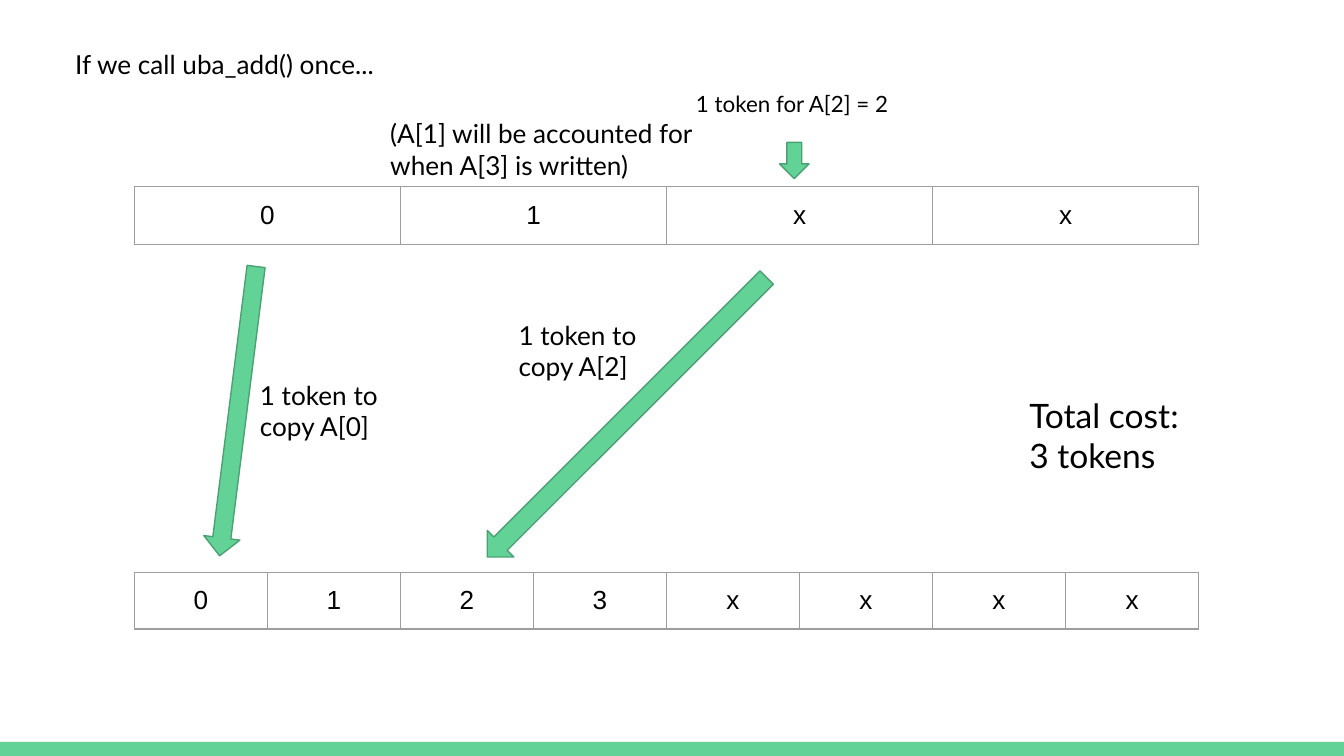
from dataclasses import dataclass

from lxml.etree import SubElement
from pptx import Presentation
from pptx.dml.color import RGBColor
from pptx.enum.shapes import MSO_SHAPE as Preset
from pptx.enum.text import MSO_ANCHOR as Anchor, MSO_AUTO_SIZE as AutoSize, PP_ALIGN as Align
from pptx.oxml.ns import qn
from pptx.util import Emu, Inches, Pt

SLIDE_WIDTH = Inches(10)
SLIDE_HEIGHT = Emu(SLIDE_WIDTH * 9 // 16)
GRID_COLUMNS = 100  # square grid: rows are as tall as columns are wide
TITLE_ONLY_LAYOUT = 5


@dataclass(frozen=True)
class Theme:
    accent: str = "63D297"
    accent_outline: str = "4BA173"
    cell_border: str = "9E9E9E"
    text: str = "000000"
    text_font: str = "Lato"
    cell_font: str = "Arial"
    small: int = 12
    regular: int = 14
    large: int = 18
    line_width: float = 0.75
    inset: float = 0.1


@dataclass(frozen=True)
class Box:
    left: float
    top: float
    width: float
    height: float

    def lengths(self) -> tuple[Emu, ...]:
        return tuple(units(n) for n in (self.left, self.top, self.width, self.height))


@dataclass(frozen=True)
class Label:
    text: str
    box: Box
    size: int


@dataclass(frozen=True)
class BlockArrow:
    box: Box
    rotation: float = 0


@dataclass(frozen=True)
class ArrayRow:
    values: str
    top: float
    height: float


THEME = Theme()
ARRAY_LEFT, ARRAY_WIDTH = 10, 79.2

TITLE = Label("If we call uba_add() once...", Box(4.6, 2.6, 33, 5), THEME.regular)
FOOTER_BAR = Box(0, 55.2, GRID_COLUMNS, 1.05)
ARRAYS = (
    ArrayRow("01xx", 13.9, 4.3),
    ArrayRow("0123xxxx", 42.6, 4.2),
)
ARROWS = (
    BlockArrow(Box(58, 10.6, 2.2, 2.7)),
    BlockArrow(Box(16.35, 19.75, 2.7, 21.7), 7.2),
    BlockArrow(Box(45.25, 16.35, 2.8, 29.4), 45),
)
LABELS = (
    Label("1 token for A[2] = 2", Box(50.8, 5.7, 16.6, 4.3), THEME.small),
    Label("1 token to copy A[0]", Box(18.35, 27.2, 13.2, 6.5), THEME.regular),
    Label("1 token to copy A[2]", Box(37.6, 22.75, 13.2, 6.5), THEME.regular),
    Label("(A[1] will be accounted for when A[3] is written)",
          Box(28.05, 7.75, 25, 6), THEME.regular),
    Label("Total cost: 3 tokens", Box(75.6, 28.35, 14.2, 7.6), THEME.large),
)


def units(count: float) -> Emu:
    """Convert grid units to a slide length."""
    return Emu(round(SLIDE_WIDTH * count / GRID_COLUMNS))


def set_insets(target) -> None:
    """Apply the theme inset to all sides of a text frame or table cell."""
    for side in ("left", "top", "right", "bottom"):
        setattr(target, f"margin_{side}", Inches(THEME.inset))


def write_text(text_frame, text: str, font: str, size: int, align: Align) -> None:
    paragraph = text_frame.paragraphs[0]
    paragraph.alignment = align
    run = paragraph.add_run()
    run.text = text
    run.font.name = font
    run.font.size = Pt(size)
    run.font.color.rgb = RGBColor.from_string(THEME.text)


def fill_label(shape, label: Label) -> None:
    text_frame = shape.text_frame
    text_frame.word_wrap = True
    text_frame.auto_size = AutoSize.NONE
    text_frame.vertical_anchor = Anchor.TOP
    set_insets(text_frame)
    write_text(text_frame, label.text, THEME.text_font, label.size, Align.LEFT)


def place_title(slide, label: Label) -> None:
    title = slide.shapes.title
    title.left, title.top, title.width, title.height = label.box.lengths()
    fill_label(title, label)


def add_label(slide, label: Label) -> None:
    fill_label(slide.shapes.add_textbox(*label.box.lengths()), label)


def add_accent_shape(slide, preset: Preset, box: Box):
    shape = slide.shapes.add_shape(preset, *box.lengths())
    shape.shadow.inherit = False
    shape.fill.solid()
    shape.fill.fore_color.rgb = RGBColor.from_string(THEME.accent)
    return shape


def add_footer_bar(slide) -> None:
    add_accent_shape(slide, Preset.RECTANGLE, FOOTER_BAR).line.fill.background()


def add_block_arrow(slide, arrow: BlockArrow) -> None:
    shape = add_accent_shape(slide, Preset.DOWN_ARROW, arrow.box)
    shape.line.color.rgb = RGBColor.from_string(THEME.accent_outline)
    shape.line.width = Pt(THEME.line_width)
    shape.rotation = arrow.rotation


def add_cell_borders(cell) -> None:
    properties = cell._tc.get_or_add_tcPr()
    for edge in "LRTB":
        line = SubElement(properties, qn(f"a:ln{edge}"), w=str(Pt(THEME.line_width)))
        solid_fill = SubElement(line, qn("a:solidFill"))
        SubElement(solid_fill, qn("a:srgbClr"), val=THEME.cell_border)


def add_array(slide, array: ArrayRow) -> None:
    box = Box(ARRAY_LEFT, array.top, ARRAY_WIDTH, array.height)
    table = slide.shapes.add_table(1, len(array.values), *box.lengths()).table
    table.first_row = table.horz_banding = False
    for column in table.columns:
        column.width = units(ARRAY_WIDTH / len(array.values))
    for cell, value in zip(table.iter_cells(), array.values):
        set_insets(cell)
        add_cell_borders(cell)
        cell.fill.background()
        write_text(cell.text_frame, value, THEME.cell_font, THEME.regular, Align.CENTER)


def main() -> None:
    presentation = Presentation()
    presentation.slide_width, presentation.slide_height = SLIDE_WIDTH, SLIDE_HEIGHT
    slide = presentation.slides.add_slide(presentation.slide_layouts[TITLE_ONLY_LAYOUT])

    place_title(slide, TITLE)
    add_footer_bar(slide)
    for array in ARRAYS:
        add_array(slide, array)
    for arrow in ARROWS:
        add_block_arrow(slide, arrow)
    for label in LABELS:
        add_label(slide, label)

    presentation.save("out.pptx")


if __name__ == "__main__":
    main()
